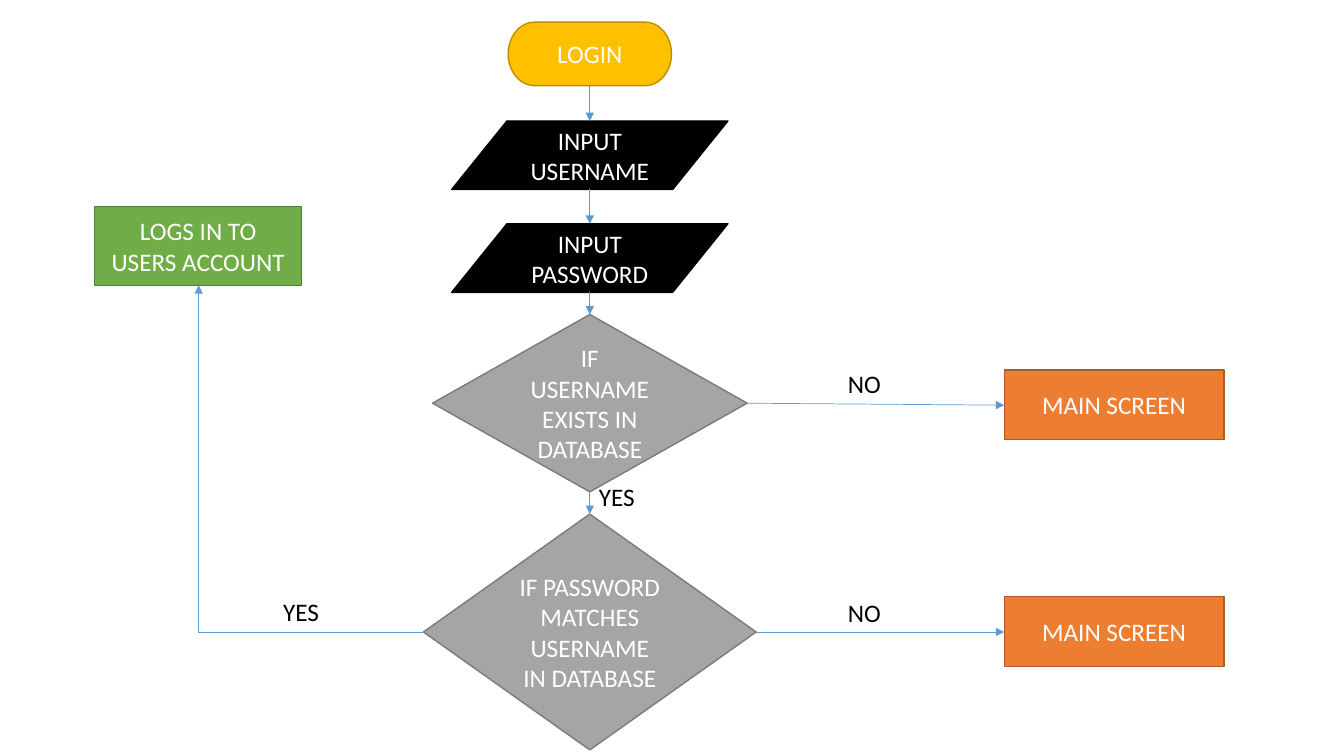
from lxml import etree
from pptx import Presentation
from pptx import util as u
from pptx.dml.color import RGBColor
from pptx.enum import shapes, text
from pptx.oxml import ns

WHITE = RGBColor(0xFF, 0xFF, 0xFF)
BLACK = RGBColor(0x00, 0x00, 0x00)
GOLD = RGBColor(0xFF, 0xC0, 0x00)
DARK_GOLD = RGBColor(0xBD, 0x8E, 0x00)
GRAY = RGBColor(0xA5, 0xA5, 0xA5)
DARK_GRAY = RGBColor(0x7A, 0x7A, 0x7A)
GREEN = RGBColor(0x70, 0xAD, 0x47)
DARK_GREEN = RGBColor(0x53, 0x80, 0x35)
ORANGE = RGBColor(0xED, 0x7D, 0x31)
DARK_ORANGE = RGBColor(0xAF, 0x5C, 0x24)
BLUE = RGBColor(0x5B, 0x9B, 0xD5)

FONT = {"name": "Calibri", "size": u.Pt(18)}
CENTER = 5.85
SCREEN_LEFT = 9.96
ACCOUNT_CENTER = 1.97
ACCOUNT_BOTTOM = 2.83
PASSWORD_MIDDLE = 6.27


def write(box, words, color, align):
    para = box.text_frame.paragraphs[0]
    para.alignment = align
    span = para.add_run()
    span.text = words
    for key, value in FONT.items():
        setattr(span.font, key, value)
    span.font.color.rgb = color


def add_arrow(kind, *ends):
    arrow = page.shapes.add_connector(kind, *map(u.Inches, ends))
    arrow.line.color.rgb = BLUE
    arrow.line.width = u.Pt(0.5)
    etree.SubElement(arrow.line._get_or_add_ln(), ns.qn("a:tailEnd"), type="triangle")
    etree.SubElement(arrow._element.spPr, ns.qn("a:effectLst"))
    return arrow


deck = Presentation()
deck.slide_width, deck.slide_height = u.Inches(13.33), u.Inches(7.5)
page = deck.slides.add_slide(deck.slide_layouts[6])

preset = shapes.MSO_SHAPE
terminator = (preset.FLOWCHART_TERMINATOR, GOLD, DARK_GOLD)
entry = (preset.FLOWCHART_DATA, BLACK, BLACK)
decision = (preset.FLOWCHART_DECISION, GRAY, DARK_GRAY)
account = (preset.FLOWCHART_PROCESS, GREEN, DARK_GREEN)
screen = (preset.FLOWCHART_PROCESS, ORANGE, DARK_ORANGE)

steps = [
    (terminator, "LOGIN", 5.04, 0.22, 1.62, 0.63),
    (entry, "INPUT USERNAME", 4.48, 1.2, 2.74, 0.68),
    (entry, "INPUT PASSWORD", 4.48, 2.22, 2.74, 0.68),
    (decision, "IF USERNAME EXISTS IN DATABASE", 4.29, 3.12, 3.12, 1.76),
    (decision, "IF PASSWORD MATCHES USERNAME IN DATABASE", 4.2, 5.1, 3.3, 2.34),
]
outcomes = [
    (account, "LOGS IN TO USERS ACCOUNT", 0.94, 2.05, 2.05, 0.78),
    (screen, "MAIN SCREEN", SCREEN_LEFT, 3.67, 2.18, 0.69),
    (screen, "MAIN SCREEN", SCREEN_LEFT, 5.92, 2.18, 0.69),
]

for (kind, fill, edge), words, *place in steps + outcomes:
    box = page.shapes.add_shape(kind, *map(u.Inches, place))
    box.shadow.inherit = False
    box.fill.solid()
    box.fill.fore_color.rgb = fill
    box.line.color.rgb = edge
    box.line.width = u.Pt(1)
    box.text_frame.word_wrap = True
    box.text_frame.vertical_anchor = text.MSO_ANCHOR.MIDDLE
    write(box, words, WHITE, text.PP_ALIGN.CENTER)

straight = shapes.MSO_CONNECTOR.STRAIGHT
for upper, lower in zip(steps, steps[1:]):
    add_arrow(straight, CENTER, upper[3] + upper[5], CENTER, lower[3])
add_arrow(straight, 7.41, 4, SCREEN_LEFT, 4.02)
add_arrow(straight, 7.5, PASSWORD_MIDDLE, SCREEN_LEFT, PASSWORD_MIDDLE)

bend = add_arrow(shapes.MSO_CONNECTOR.ELBOW,
                 ACCOUNT_CENTER, ACCOUNT_BOTTOM, 4.2, PASSWORD_MIDDLE)
bend._element.spPr.find(ns.qn("a:prstGeom")).set("prst", "bentConnector2")
bend._element.spPr.find(ns.qn("a:xfrm")).set("rot", str(180 * 60000))

for words, left, top in [("NO", 8.31, 3.61), ("NO", 8.31, 5.88),
                         ("YES", 5.84, 4.73), ("YES", 2.71, 5.87)]:
    label = page.shapes.add_textbox(*map(u.Inches, (left, top, 0.75, 0.4)))
    label.text_frame.word_wrap = True
    label.text_frame.auto_size = text.MSO_AUTO_SIZE.SHAPE_TO_FIT_TEXT
    write(label, words, BLACK, text.PP_ALIGN.LEFT)

deck.save("out.pptx")
